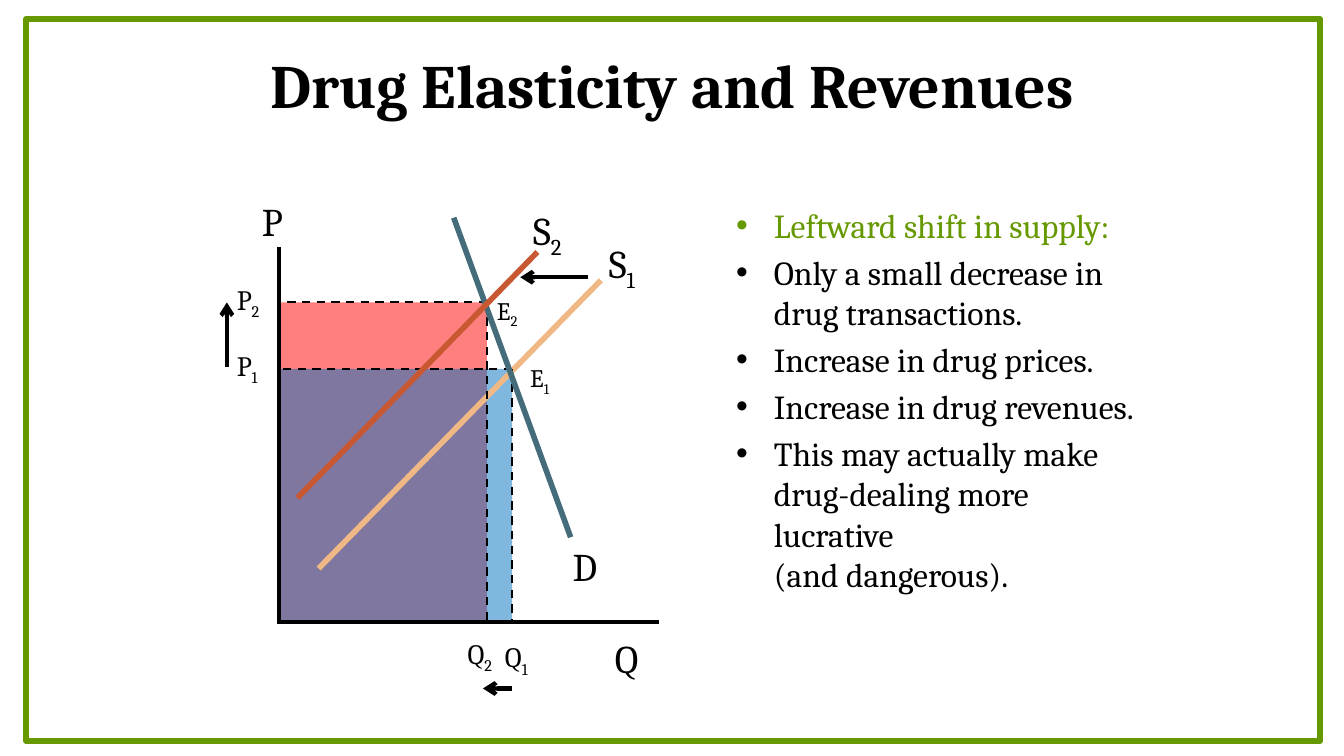
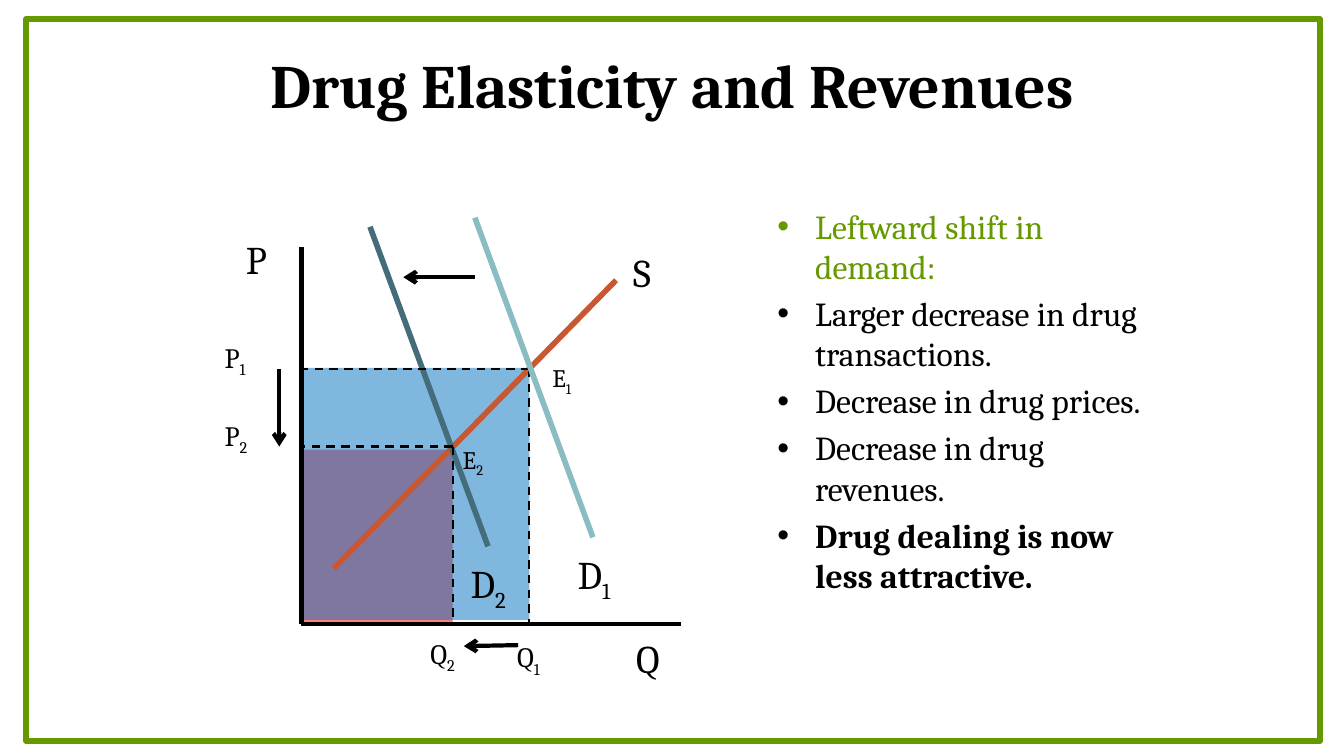
import dataclasses

import lxml.etree
import pptx
import pptx.dml.color
import pptx.enum.dml
import pptx.enum.shapes
import pptx.enum.text
import pptx.oxml.ns
import pptx.util

SCALE = 9144
qn = pptx.oxml.ns.qn


@dataclasses.dataclass(frozen=True)
class Theme:
    font: str = "Cambria"
    ink: str = "000000"
    green: str = "669900"
    red: str = "FF0000"
    blue: str = "0070C0"
    rust: str = "C85831"
    peach: str = "F0B884"
    slate: str = "456C7A"
    aqua: str = "89BCC3"
    title: int = 44
    body: int = 24
    large: int = 28
    mid: int = 20
    small: int = 18
    edge: float = 4.5
    curve: int = 4
    axis: int = 3
    dash: float = 1.5


def px(count):
    return pptx.util.Emu(count * SCALE)


def rgb(code):
    return pptx.dml.color.RGBColor.from_string(code)


class Deck:
    """Draw supply and demand slides in one shared style."""

    def __init__(self, theme):
        self.theme = theme
        self.file = pptx.Presentation()
        self.file.slide_width = px(1333)
        self.file.slide_height = px(750)
        self.layout = self.file.slide_layouts[1]
        self.slide = None

    def start(self, title, points, place, strong=()):
        first = self.slide is None
        self.slide = self.file.slides.add_slide(self.layout)
        if first:
            self.frame()
        self.head(title)
        self.list(points, place, strong)

    def frame(self):
        frame = self.rect(26, 19, 1283, 716)
        frame.fill.background()
        frame.line.color.rgb = rgb(self.theme.green)
        frame.line.width = pptx.util.Pt(self.theme.edge)
        self.layout.shapes.element.insert(2, frame.element)

    def put(self, shape, place):
        shape.left, shape.top, shape.width, shape.height = map(px, place)
        shape.text_frame.word_wrap = True
        shape.text_frame.auto_size = pptx.enum.text.MSO_AUTO_SIZE.NONE

    def style(self, part, size, color=None, bold=False):
        for run in part.runs:
            run.font.name = self.theme.font
            run.font.size = pptx.util.Pt(size)
            run.font.bold = bold
            run.font.color.rgb = rgb(color or self.theme.ink)

    def head(self, text):
        title = self.slide.shapes.title
        self.put(title, (217, 0, 900, 166))
        title.text_frame.text = text
        title.text_frame.vertical_anchor = pptx.enum.text.MSO_ANCHOR.MIDDLE
        part = title.text_frame.paragraphs[0]
        part.alignment = pptx.enum.text.PP_ALIGN.CENTER
        self.style(part, self.theme.title, bold=True)

    def list(self, points, place, strong):
        body = self.slide.placeholders[1]
        self.put(body, place)
        frame = body.text_frame
        for order, text in enumerate(points):
            part = frame.add_paragraph() if order else frame.paragraphs[0]
            part.text = text
            if not order:
                part.space_before = pptx.util.Pt(0)
            color = self.theme.ink if order else self.theme.green
            self.style(part, self.theme.body, color, text in strong)
        for gap in body.element.iter(qn("a:br")):
            mark = lxml.etree.SubElement(gap, qn("a:rPr"))
            mark.set("sz", str(self.theme.body * 100))

    def rect(self, *place):
        kind = pptx.enum.shapes.MSO_SHAPE.RECTANGLE
        shape = self.slide.shapes.add_shape(kind, *map(px, place))
        shape.shadow.inherit = False
        return shape

    def area(self, place, color):
        shape = self.rect(*place)
        shape.fill.solid()
        shape.fill.fore_color.rgb = rgb(color)
        shape.line.fill.background()
        tint = next(shape.element.iter(qn("a:srgbClr")))
        lxml.etree.SubElement(tint, qn("a:alpha")).set("val", "50000")

    def line(self, ends, width, color=None, dash=False, arrow=False):
        kind = pptx.enum.shapes.MSO_CONNECTOR.STRAIGHT
        line = self.slide.shapes.add_connector(kind, *map(px, ends))
        line.line.color.rgb = rgb(color or self.theme.ink)
        line.line.width = pptx.util.Pt(width)
        if dash:
            line.line.dash_style = pptx.enum.dml.MSO_LINE.DASH
        if arrow:
            stroke = next(line.element.iter(qn("a:ln")))
            lxml.etree.SubElement(stroke, qn("a:tailEnd")).set("type", "arrow")
        form = next(line.element.iter(qn("p:spPr")))
        lxml.etree.SubElement(form, qn("a:effectLst"))

    def axes(self, wall, floor, right):
        self.line((wall, 245, wall, 619), self.theme.axis)
        self.line((wall, floor, right, floor), self.theme.axis)

    def guide(self, wall, floor, price, count):
        self.line((count, price, count, floor), self.theme.dash, dash=True)
        self.line((count, price, wall, price), self.theme.dash, dash=True)

    def curve(self, ends, color):
        self.line(ends, self.theme.curve, color)

    def arrow(self, *ends):
        self.line(ends, self.theme.axis, arrow=True)

    def label(self, text, left, top, size):
        place = map(px, (left, top, 75, size * 2))
        box = self.slide.shapes.add_textbox(*place)
        frame = box.text_frame
        frame.word_wrap = True
        frame.auto_size = pptx.enum.text.MSO_AUTO_SIZE.SHAPE_TO_FIT_TEXT
        frame.text = text[0]
        part = frame.paragraphs[0]
        if text[1:]:
            part.add_run().text = text[1:]
        self.style(part, size)
        if text[1:]:
            marks = list(box.element.iter(qn("a:rPr")))
            marks[-1].set("baseline", "-25000")

    def labels(self, size, *items):
        for item in items:
            self.label(*item, size)


def supply(deck, title):
    theme = deck.theme
    points = (
        "Leftward shift in supply:",
        "Only a small decrease in drug transactions.",
        "Increase in drug prices.",
        "Increase in drug revenues.",
        "This may actually make drug-dealing more lucrative\n(and dangerous).",
    )
    deck.start(title, points, (720, 198, 424, 524))
    deck.area((275, 300, 208, 317), theme.red)
    deck.area((275, 366, 233, 250), theme.blue)
    deck.axes(277, 617, 654)
    deck.curve((316, 564, 596, 278), theme.peach)
    deck.guide(275, 617, 300, 483)
    deck.guide(275, 617, 366, 508)
    deck.labels(theme.large, ("P", 250, 191), ("Q", 600, 624), ("D", 558, 533),
                ("S2", 519, 200), ("S1", 594, 233))
    deck.labels(theme.mid, ("Q1", 491, 630), ("Q2", 454, 627),
                ("P1", 225, 341), ("P2", 225, 275))
    deck.labels(theme.small, ("E2", 483, 288), ("E1", 516, 355))
    deck.arrow(583, 275, 516, 275)
    deck.arrow(225, 364, 225, 300)
    deck.arrow(508, 683, 479, 683)
    deck.curve((450, 216, 566, 533), theme.slate)
    deck.curve((295, 494, 533, 250), theme.rust)


def demand(deck, title):
    theme = deck.theme
    points = (
        "Leftward shift in demand:",
        "Larger decrease in drug transactions.",
        "Decrease in drug prices.",
        "Decrease in drug revenues.",
        "Drug dealing is now less attractive.",
    )
    deck.start(title, points, (761, 199, 406, 507), points[-1:])
    deck.area((299, 446, 150, 175), theme.red)
    deck.area((300, 365, 225, 250), theme.blue)
    deck.axes(299, 619, 675)
    deck.curve((331, 564, 611, 278), theme.rust)
    deck.curve((367, 225, 484, 542), theme.slate)
    deck.guide(299, 619, 443, 449)
    deck.guide(299, 619, 366, 525)
    deck.labels(theme.large, ("P", 234, 229), ("Q", 621, 624), ("S", 618, 241),
                ("D2", 457, 550), ("D1", 563, 541))
    deck.labels(theme.mid, ("Q1", 503, 630), ("Q2", 417, 627),
                ("P1", 213, 333), ("P2", 213, 410))
    deck.labels(theme.small, ("E2", 449, 436), ("E1", 538, 355))
    deck.arrow(471, 275, 400, 275)
    deck.arrow(277, 366, 277, 443)
    deck.arrow(514, 640, 460, 641)
    deck.curve((471, 216, 588, 533), theme.aqua)


def main():
    deck = Deck(Theme())
    for draw in (supply, demand):
        draw(deck, "Drug Elasticity and Revenues")
    deck.file.save("out.pptx")


if __name__ == "__main__":
    main()
